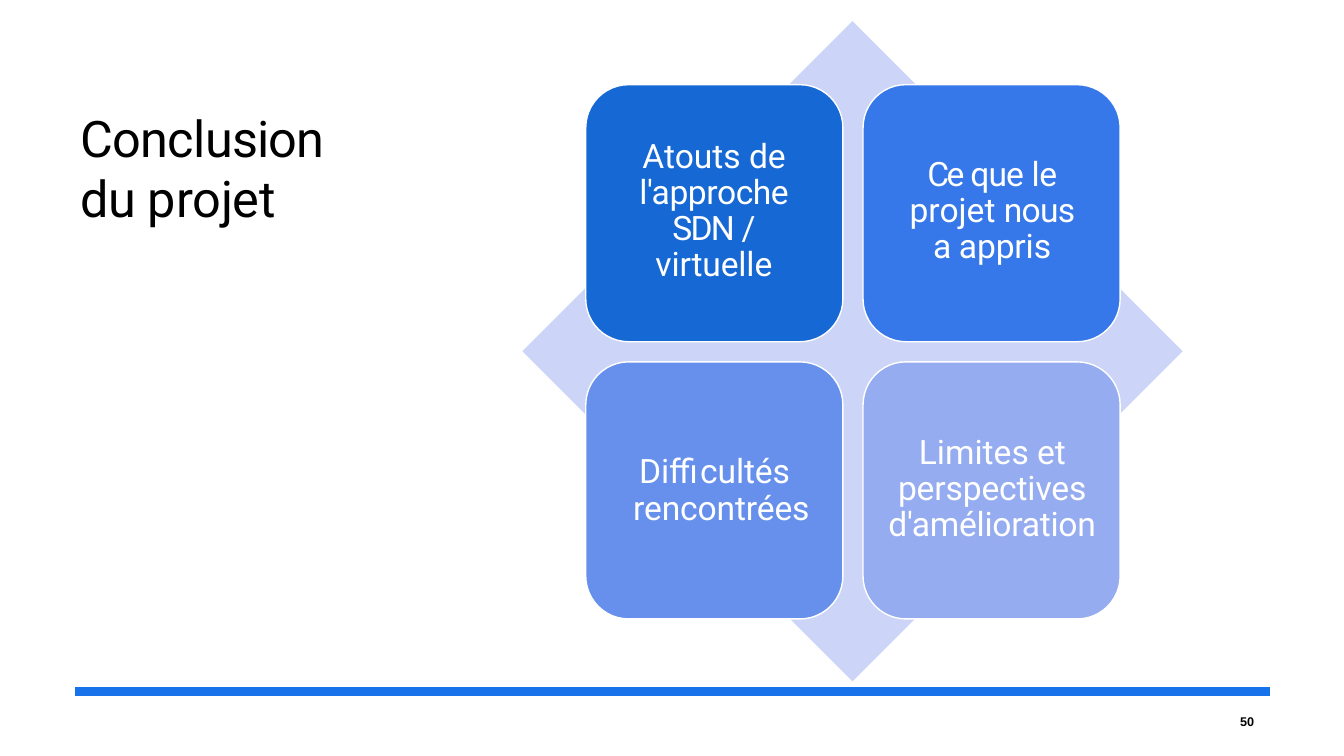
from dataclasses import dataclass

from pptx import Presentation
from pptx.dml.color import RGBColor
from pptx.enum.shapes import MSO_CONNECTOR, MSO_SHAPE
from pptx.enum.text import PP_ALIGN
from pptx.oxml.ns import qn
from pptx.shapes.autoshape import Shape
from pptx.slide import Slide
from pptx.util import Inches, Pt
from lxml.etree import SubElement

HUES = {
    "ink": "000000", "white": "FFFFFF", "rule": "1873EB", "back": "CCD4F7",
    "deep": "1668D4", "strong": "3678E9", "mid": "6790EC", "pale": "95ACF0",
}
SIDE, STEP = 2.55, 2.75
LEFT, TOP = 5.81, 0.84

Box = tuple[float, float, float, float]
Line = list[tuple[str, float]]  # runs: wording and letter spacing


@dataclass
class Style:
    font: str
    size: float
    hue: str
    lead: float | Pt
    bold: bool = False
    align: PP_ALIGN = PP_ALIGN.LEFT
    inset: float = 0
    indent: float = 0


@dataclass
class Tile:
    hue: str
    box: Box
    lines: list[Line]
    style: Style


def tint(name: str) -> RGBColor:
    return RGBColor.from_string(HUES[name])


def draw_shape(slide: Slide, kind: MSO_SHAPE, box: Box, hue: str) -> Shape:
    shape = slide.shapes.add_shape(kind, *map(Inches, box))
    shape.shadow.inherit = False
    shape.fill.solid()
    shape.fill.fore_color.rgb = tint(hue)
    shape.line.fill.background()
    return shape


def draw_text(slide: Slide, box: Box, lines: list[Line], style: Style) -> None:
    frame = slide.shapes.add_textbox(*map(Inches, box)).text_frame
    frame.word_wrap = True
    frame.margin_left = frame.margin_right = frame.margin_bottom = 0
    frame.margin_top = Inches(style.inset)
    for i, line in enumerate(lines):
        para = frame.add_paragraph() if i else frame.paragraphs[0]
        para.alignment = style.align
        para.line_spacing = style.lead
        if style.indent:
            para._p.get_or_add_pPr().set("indent", str(Inches(style.indent)))
        for words, gap in line:
            run = para.add_run()
            run.text = words
            run.font.name = style.font
            run.font.size = Pt(style.size)
            run.font.bold = style.bold
            run.font.color.rgb = tint(style.hue)
            run._r.get_or_add_rPr().set("spc", str(round(gap * 100)))


def draw_tile(slide: Slide, tile: Tile, row: int, col: int) -> None:
    place = (LEFT + col * STEP, TOP + row * STEP, SIDE, SIDE)
    shape = draw_shape(slide, MSO_SHAPE.ROUNDED_RECTANGLE, place, tile.hue)
    shape.line.color.rgb = tint("white")
    shape.line.width = Pt(1)
    draw_text(slide, tile.box, tile.lines, tile.style)


HEAD = Style("Roboto", 36, "ink", Pt(42.8), inset=0.03)
MID = Style("Roboto", 24, "white", 0.9, align=PP_ALIGN.CENTER, inset=0.05)
SIDED = Style("Roboto", 24, "white", Pt(26.3), inset=0.05, indent=0.06)
PAGE = Style("Arial", 9, "ink", Pt(9.9), bold=True)

TILES = [
    Tile("deep", (6.32, 1.33, 1.52, 1.51), [
        [("Atouts ", 0), ("de ", -0.2), ("l'approche ", -0.3),
         ("SDN ", -1.2), ("/", 1.9)],
        [("virtuelle", -0.1)],
    ], MID),
    Tile("strong", (8.98, 1.51, 1.72, 1.15), [
        [("Ce ", -1.8), ("que ", -0.6), ("le ", -0.2), ("projet ", 0),
         ("nous ", -0.5), ("a ", -0.6), ("appris", -0.1)],
    ], MID),
    Tile("mid", (6.28, 4.45, 1.89, 0.78), [
        [("Difficultés rencontrées", -0.1)],
    ], SIDED),
    Tile("pale", (8.8, 4.27, 2.08, 1.15), [
        [("Limites ", 0), ("et ", -0.2), ("perspectives ", -0.1),
         ("d'amélioration", -0.2)],
    ], MID),
]


def main() -> None:
    deck = Presentation()
    deck.slide_width, deck.slide_height = Inches(13.33), Inches(7.5)
    slide = deck.slides.add_slide(deck.slide_layouts[6])

    # Title
    draw_text(slide, (0.8, 1.04, 2.7, 1.22),
              [[("Conclusion du ", -0.5), ("projet", -0.1)]], HEAD)

    # Footer rule
    rule = slide.shapes.add_connector(
        MSO_CONNECTOR.STRAIGHT, *map(Inches, (0.74, 6.86, 12.6, 6.86)))
    rule.line.color.rgb = tint("rule")
    rule.line.width = Pt(6)
    SubElement(rule._element.spPr, qn("a:effectLst"))

    # Diamond with its two-by-two grid of tiles
    draw_shape(slide, MSO_SHAPE.DIAMOND, (5.18, 0.21, 6.55, 6.55), "back")
    for i, tile in enumerate(TILES):
        draw_tile(slide, tile, *divmod(i, 2))

    # Page number
    draw_text(slide, (12.3, 7.1, 0.24, 0.14), [[("5", 0), ("0", -0.1)]], PAGE)

    deck.save("out.pptx")


if __name__ == "__main__":
    main()
